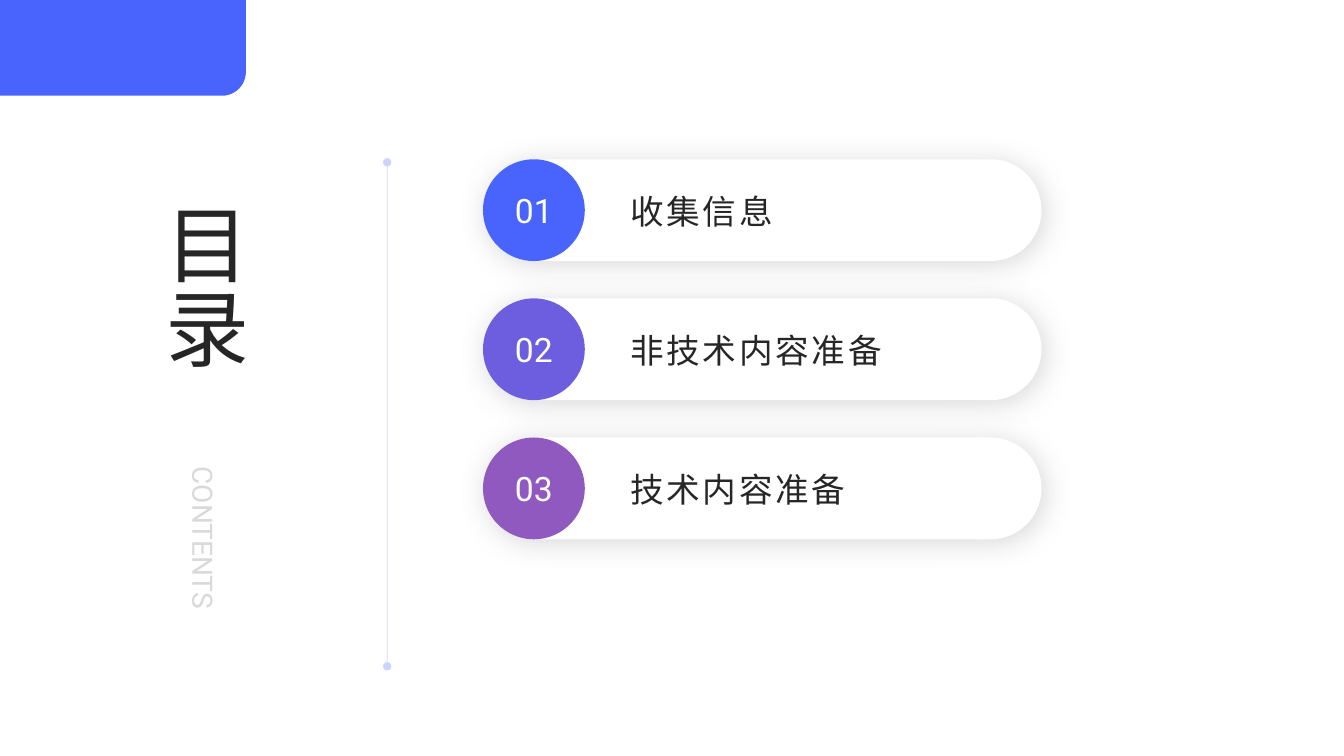
from lxml import etree
from pptx import Presentation
from pptx.dml.color import RGBColor
from pptx.enum.shapes import MSO_CONNECTOR, MSO_SHAPE
from pptx.enum.text import MSO_ANCHOR, MSO_AUTO_SIZE, PP_ALIGN
from pptx.oxml.ns import qn
from pptx.util import Pt

EMU_PER_PX = 9144  # 100 px to the inch
STRAIGHT = MSO_CONNECTOR.STRAIGHT
CORNER_BLOCK = MSO_SHAPE.ROUND_1_RECTANGLE
PILL, CIRCLE = MSO_SHAPE.ROUNDED_RECTANGLE, MSO_SHAPE.OVAL
MIDDLE = MSO_ANCHOR.MIDDLE
NO_AUTOFIT = MSO_AUTO_SIZE.NONE
LEFT, CENTER, JUSTIFY = PP_ALIGN.LEFT, PP_ALIGN.CENTER, PP_ALIGN.JUSTIFY

FONT = "Roboto"
COLORS = {
    "blue": "4864FC",
    "indigo": "6C5EDE",
    "purple": "9059BF",
    "line": "002AF9",
    "shadow": "808080",
    "text": "262626",
    "faint": "D9D9D9",
    "white": "FFFFFF",
}
CHAPTERS = [
    ("01", "收集信息", "blue"),
    ("02", "非技术内容准备", "indigo"),
    ("03", "技术内容准备", "purple"),
]
FIRST_TOP, ROW_PITCH, ROW_HEIGHT = 158, 138, 101
ROW_LEFT, PILL_WIDTH = 479, 554
LABEL_LEFT, LABEL_WIDTH = 615, 419


def px(value):
    return value * EMU_PER_PX


def rgb(name):
    return RGBColor.from_string(COLORS[name])


def write(shape, text, size, color, align, margins=(10, 5)):
    frame = shape.text_frame
    frame.word_wrap = True
    frame.auto_size = NO_AUTOFIT
    frame.vertical_anchor = MIDDLE
    frame.margin_left = frame.margin_right = px(margins[0])
    frame.margin_top = frame.margin_bottom = px(margins[1])
    paragraph = frame.paragraphs[0]
    paragraph.text = text
    paragraph.alignment = align
    paragraph.font.name = FONT
    paragraph.font.size = Pt(size)
    paragraph.font.color.rgb = rgb(color)
    return paragraph


def set_vertical(shape):
    shape.text_frame._txBody.bodyPr.set("vert", "eaVert")


def add_filled(slide, kind, left, top, width, height, color):
    shape = slide.shapes.add_shape(kind, px(left), px(top), px(width), px(height))
    shape.shadow.inherit = False
    shape.fill.solid()
    shape.fill.fore_color.rgb = rgb(color)
    shape.line.fill.background()
    return shape


def add_text(slide, left, top, width, height):
    return slide.shapes.add_textbox(px(left), px(top), px(width), px(height))


def add_alpha(color_element, percent):
    etree.SubElement(color_element, qn("a:alpha"), val=str(percent * 1000))


def add_soft_shadow(shape):
    effects = shape._element.spPr.find(qn("a:effectLst"))
    shadow = etree.SubElement(
        effects, qn("a:outerShdw"), blurRad=str(Pt(20)), dist=str(Pt(3)),
        dir=str(45 * 60000), algn="tl", rotWithShape="0")
    color = etree.SubElement(shadow, qn("a:srgbClr"), val=COLORS["shadow"])
    add_alpha(color, 30)


def add_divider(slide, x, top, bottom):
    divider = slide.shapes.add_connector(STRAIGHT, px(x), px(top), px(x), px(bottom))
    divider.line.width = Pt(0.5)
    divider.line.color.rgb = rgb("line")
    properties = divider._element.spPr
    outline = properties.find(qn("a:ln"))
    add_alpha(next(outline.iter(qn("a:srgbClr"))), 20)
    for end in ("a:headEnd", "a:tailEnd"):
        etree.SubElement(outline, qn(end), type="oval")
    etree.SubElement(properties, qn("a:effectLst"))


def add_chapter(slide, top, number, name, color):
    pill = add_filled(slide, PILL, ROW_LEFT, top, PILL_WIDTH, ROW_HEIGHT, "white")
    pill.adjustments[0] = 0.5
    add_soft_shadow(pill)
    circle = add_filled(slide, CIRCLE, ROW_LEFT, top, ROW_HEIGHT, ROW_HEIGHT, color)
    write(circle, number, 24, "white", CENTER, (0, 0))
    label = add_text(slide, LABEL_LEFT, top + 1, LABEL_WIDTH, ROW_HEIGHT)
    paragraph = write(label, name, 24, "text", LEFT, (10, 0))
    # Letter spacing of 2 pt
    paragraph.runs[0]._r.get_or_add_rPr().set("spc", "200")


def main():
    presentation = Presentation()
    presentation.slide_width, presentation.slide_height = px(1333), px(750)
    slide = presentation.slides.add_slide(presentation.slide_layouts[5])

    # Divider and corner block
    add_divider(slide, 384, 161, 661)
    block = add_filled(slide, CORNER_BLOCK, -2, 0, 246, 95, "blue")
    block.adjustments[0] = 0.25
    block._element.spPr.find(qn("a:xfrm")).set("flipV", "1")

    # Vertical headings
    title = slide.shapes.title
    title.left, title.top, title.width, title.height = map(px, (128, 196, 150, 232))
    write(title, "目录", 60, "text", LEFT)
    set_vertical(title)
    subtitle = add_text(slide, 127, 453, 150, 213)
    write(subtitle, "CONTENTS", 20, "faint", JUSTIFY)
    set_vertical(subtitle)

    # Chapter list
    for row, chapter in enumerate(CHAPTERS):
        add_chapter(slide, FIRST_TOP + row * ROW_PITCH, *chapter)

    presentation.save("out.pptx")


if __name__ == "__main__":
    main()
